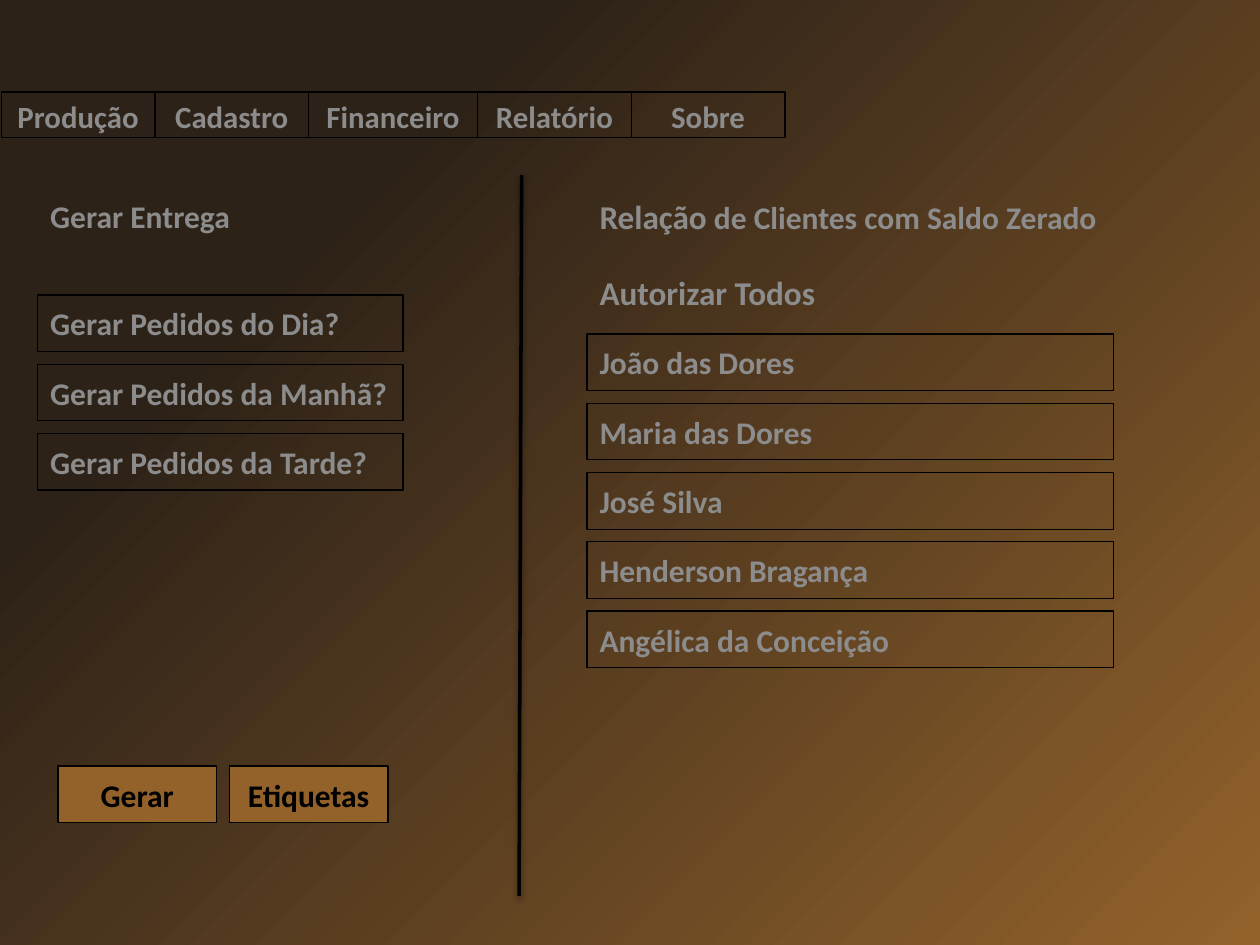
from itertools import accumulate

from lxml.etree import SubElement
from pptx import Presentation
from pptx.dml.color import RGBColor
from pptx.enum.shapes import MSO_CONNECTOR as LINK, MSO_SHAPE as SHAPE
from pptx.enum.text import MSO_ANCHOR as ANCHOR, PP_ALIGN as ALIGN
from pptx.oxml import parse_xml
from pptx.oxml.ns import nsdecls, qn
from pptx.util import Inches, Pt

LEFT, RIGHT = 0.3, 4.66
WIDE, SPAN = 2.9, 4.18
ROW, STEP = 0.45, 0.55
GREY, BLACK, BROWN, DARK = "8C8C8C", "000000", "93622B", "2D2218"


def paint(color, code):
    """Set a colour from a hex string."""
    color.rgb = RGBColor.from_string(code)


def write(shape, runs, code=GREY, align=ALIGN.LEFT, anchor=ANCHOR.MIDDLE):
    """Write one paragraph of (text, size) runs into a shape."""
    frame = shape.text_frame
    frame.word_wrap = True
    frame.vertical_anchor = anchor
    para = frame.paragraphs[0]
    para.alignment = align
    for text, size in runs:
        run = para.add_run()
        run.text = text
        run.font.name = "Calibri"
        run.font.size = Pt(size)
        run.font.bold = True
        paint(run.font.color, code)


def label(slide, x, y, w, runs):
    """Add a plain heading."""
    box = slide.shapes.add_textbox(*map(Inches, (x, y, w, ROW)))
    write(box, runs)


def frame(slide, x, y, w, text, h=ROW, size=18, fill=None, **style):
    """Add a thinly outlined box with text."""
    box = slide.shapes.add_shape(SHAPE.RECTANGLE, *map(Inches, (x, y, w, h)))
    box.shadow.inherit = False
    if fill:
        box.fill.solid()
        paint(box.fill.fore_color, fill)
    else:
        box.fill.background()
    paint(box.line.color, BLACK)
    box.line.width = Pt(0.75)
    write(box, [(text, size)], **style)


def stack(slide, x, y, w, names):
    """Add a column of equally spaced boxes."""
    for i, name in enumerate(names):
        frame(slide, x, y + i * STEP, w, name)


def menu(slide):
    """Add the row of menu tabs."""
    names = ["Produção", "Cadastro", "Financeiro", "Relatório", "Sobre"]
    widths = [1.22, 1.22, 1.34, 1.22, 1.22]
    for name, x, w in zip(names, accumulate(widths, initial=0.01), widths):
        frame(slide, x, 0.73, w, name, h=0.36, size=17.6,
              align=ALIGN.CENTER, anchor=ANCHOR.TOP)


def divide(slide):
    """Add the shadowed line between the two halves."""
    line = slide.shapes.add_connector(
        LINK.STRAIGHT, *map(Inches, (4.14, 1.39, 4.12, 7.11)))
    paint(line.line.color, BLACK)
    line.line.width = Pt(2)
    props = line._element.spPr
    props.append(parse_xml(
        f'<a:effectLst {nsdecls("a")}><a:outerShdw blurRad="{Pt(3.1)}" '
        f'dist="{Pt(1.6)}" dir="5400000" rotWithShape="0">'
        f'<a:srgbClr val="{BLACK}"><a:alpha val="38000"/></a:srgbClr>'
        '</a:outerShdw></a:effectLst>'))


def shade(slide):
    """Fill the background with a gradient from the lower right corner."""
    fill = slide.background.fill
    fill.gradient()
    for stop, place, code in zip(fill.gradient_stops, (0, 0.75), (BROWN, DARK)):
        stop.position = place
        paint(stop.color, code)
    grad = slide._element.find(".//" + qn("a:gradFill"))
    grad.remove(grad.find(qn("a:lin")))
    way = SubElement(grad, qn("a:path"), path="circle")
    SubElement(way, qn("a:fillToRect"), l="100000", t="100000")
    SubElement(grad, qn("a:tileRect"), r="-100000", b="-100000")


def main():
    """Build the delivery screen."""
    deck = Presentation()
    deck.slide_width, deck.slide_height = Inches(10), Inches(7.5)
    slide = deck.slides.add_slide(deck.slide_layouts[6])
    shade(slide)
    menu(slide)
    divide(slide)
    label(slide, LEFT, 1.49, 3.49, [("Gerar Entrega", 18)])
    stack(slide, LEFT, 2.34, WIDE, [
        "Gerar Pedidos do Dia?", "Gerar Pedidos da Manhã?",
        "Gerar Pedidos da Tarde?"])
    for i, name in enumerate(["Gerar", "Etiquetas"]):
        frame(slide, 0.46 + i * 1.36, 6.08, 1.26, name, fill=BROWN,
              code=BLACK, align=ALIGN.CENTER)
    label(slide, RIGHT, 1.49, SPAN,
          [("Relação", 19), (" de Clientes com Saldo Zerado", 18)])
    label(slide, RIGHT, 2.09, 2.05, [("Autorizar Todos", 19)])
    stack(slide, RIGHT, 2.65, SPAN, [
        "João das Dores", "Maria das Dores", "José Silva",
        "Henderson Bragança", "Angélica da Conceição"])
    deck.save("out.pptx")


if __name__ == "__main__":
    main()
